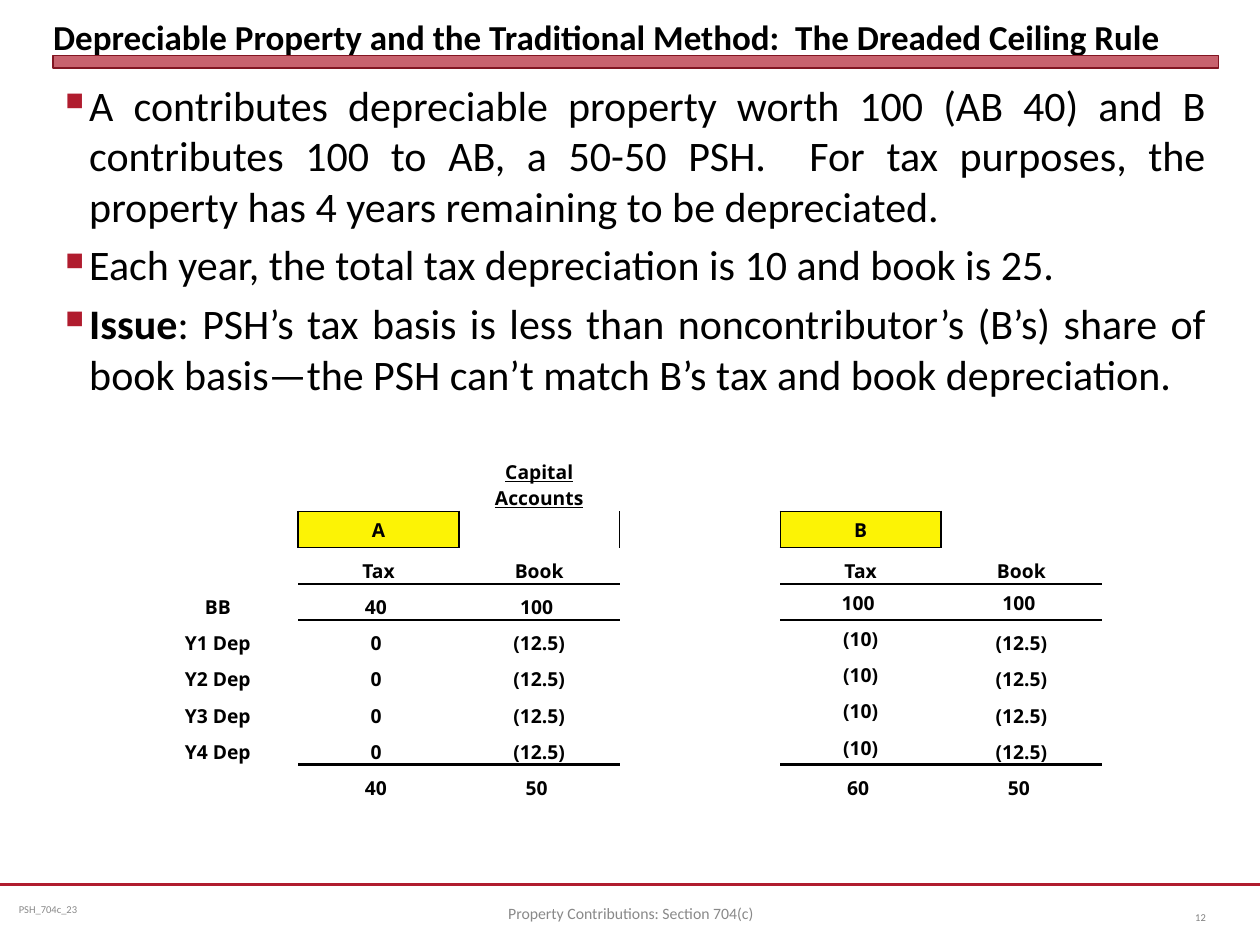
from lxml import etree
from pptx import Presentation
from pptx.dml.color import RGBColor
from pptx.enum.shapes import MSO_CONNECTOR, MSO_SHAPE
from pptx.enum.text import MSO_ANCHOR, MSO_AUTO_SIZE, PP_ALIGN
from pptx.oxml.ns import qn
from pptx.util import Cm, Pt

LEFT, CENTER, RIGHT, JUSTIFY = PP_ALIGN.LEFT, PP_ALIGN.CENTER, PP_ALIGN.RIGHT, PP_ALIGN.JUSTIFY
TOP, MIDDLE, BOTTOM = MSO_ANCHOR.TOP, MSO_ANCHOR.MIDDLE, MSO_ANCHOR.BOTTOM
RECTANGLE, STRAIGHT = MSO_SHAPE.RECTANGLE, MSO_CONNECTOR.STRAIGHT
NO_FIT = MSO_AUTO_SIZE.NONE
NO_GRID_STYLE = "{2D5ABB26-0587-4C30-8999-92F81FD0307C}"
TITLE_ONLY = 5

BLACK, RED, DARK_RED, YELLOW = "000000", "B01C2E", "821522", "FCF305"
GRAY, FOOTER_GRAY = "808080", "898989"
BODY_FONT, TABLE_FONT = "Calibri", "Open Sans"
DEFAULT_INSETS = (0.25, 0.13, 0.25, 0.13)
FOOTER_INSETS = (0.18, 0.1, 0.18, 0.1)

TITLE = "Depreciable Property and the Traditional Method:  The Dreaded Ceiling Rule"
BULLETS = [
    [("A contributes depreciable property worth 100 (AB 40) and B contributes 100 to AB, "
      "a 50-50 PSH.  For tax purposes, the property has 4 years remaining to be depreciated.", False)],
    [("Each year, the total tax depreciation is 10 and book is 25.", False)],
    [("Issue", True),
     (": PSH’s tax basis is less than noncontributor’s (B’s) share of book basis—"
      "the PSH can’t match B’s tax and book depreciation.", False)],
]
DEPRECIATION = ["0 ", "(12.5)", "", "(10)", "(12.5)"]
ACCOUNTS = [
    ["", "", "Capital Accounts", "", "", ""],
    ["", "A", "", "", "B", ""],
    ["", "Tax", "Book", "", "Tax", "Book"],
    ["BB", "40 ", "100 ", "", "100 ", "100 "],
    *[[f"Y{year} Dep", *DEPRECIATION] for year in range(1, 5)],
    ["", "40 ", "50 ", "", "60 ", "50 "],
]
HEADING_ROW, PARTNER_ROW, OPENING_ROW = 0, 1, 3
PARTNER_COLUMNS, AMOUNT_COLUMNS = (1, 4), (1, 2, 4, 5)
RULE_WIDTHS = {3: 1, 8: 2}


def color(value):
    """Return the colour of a hex string."""
    return RGBColor.from_string(value)


def horizontal_edge(boundary, column):
    """Return the width of the rule above a row boundary, or None."""
    if boundary in (PARTNER_ROW, PARTNER_ROW + 1):
        return 1 if column in PARTNER_COLUMNS else None
    return RULE_WIDTHS.get(boundary) if column in AMOUNT_COLUMNS else None


def vertical_edge(row, boundary):
    """Return the width of the rule at a column boundary, or None."""
    return 1 if row == PARTNER_ROW and boundary in AMOUNT_COLUMNS else None


def account_anchor(row, column):
    """Return the vertical anchor of an account cell."""
    tax_amount = row >= OPENING_ROW and column == 4 and row < len(ACCOUNTS) - 1
    return MIDDLE if row == PARTNER_ROW or tax_amount or (row, column) == (OPENING_ROW, 5) else BOTTOM


class SlideWriter:
    """Hold the style and the current slide, and add its elements."""

    def __init__(self, slide):
        self.slide = slide
        self.shapes = slide.shapes

    def run(self, paragraph, text, size, bold=False, font=BODY_FONT, ink=BLACK, underline=False):
        """Add one formatted run."""
        run = paragraph.add_run()
        run.text = text
        run.font.name, run.font.size = font, Pt(size)
        run.font.bold, run.font.underline = bold, underline
        run.font.color.rgb = color(ink)

    def frame(self, shape, anchor, insets):
        """Set up the text frame of a shape."""
        frame = shape.text_frame
        frame.word_wrap, frame.auto_size = True, NO_FIT
        frame.vertical_anchor = anchor
        (frame.margin_left, frame.margin_top,
         frame.margin_right, frame.margin_bottom) = map(Cm, insets)
        return frame

    def title(self, text, box, size):
        """Place and fill the title placeholder."""
        shape = self.shapes.title
        shape.left, shape.top, shape.width, shape.height = map(Cm, box)
        paragraph = self.frame(shape, BOTTOM, (0, 0, 0, 0)).paragraphs[0]
        paragraph.alignment = LEFT
        self.run(paragraph, text, size, bold=True)

    def text(self, text, box, size, ink, alignment, insets=DEFAULT_INSETS):
        """Add a single line of text."""
        shape = self.shapes.add_textbox(*map(Cm, box))
        paragraph = self.frame(shape, MIDDLE, insets).paragraphs[0]
        paragraph.alignment = alignment
        self.run(paragraph, text, size, ink=ink)

    def bullets(self, items, box, size):
        """Add a justified list with square bullets."""
        frame = self.frame(self.shapes.add_textbox(*map(Cm, box)), TOP, DEFAULT_INSETS)
        for index, item in enumerate(items):
            paragraph = frame.add_paragraph() if index else frame.paragraphs[0]
            paragraph.alignment = JUSTIFY
            paragraph.space_before = Pt(size * 0.2)
            properties = paragraph._p.get_or_add_pPr()
            properties.set("marL", str(Cm(0.48)))
            properties.set("indent", str(-Cm(0.48)))
            bullet_color = etree.SubElement(properties, qn("a:buClr"))
            etree.SubElement(bullet_color, qn("a:srgbClr"), val=RED)
            etree.SubElement(properties, qn("a:buSzPct"), val="60000")
            etree.SubElement(properties, qn("a:buChar"), char="■")
            for text, bold in item:
                self.run(paragraph, text, size, bold)

    def bar(self, box, fill, line, opacity):
        """Add a translucent rectangle."""
        shape = self.shapes.add_shape(RECTANGLE, *map(Cm, box))
        shape.shadow.inherit = False
        shape.fill.solid()
        shape.fill.fore_color.rgb = color(fill)
        fill_color = shape._element.spPr.find(qn("a:solidFill"))[0]
        etree.SubElement(fill_color, qn("a:alpha"), val=str(opacity * 1000))
        shape.line.color.rgb = color(line)
        shape.line.width = Pt(0)

    def line(self, start, end, ink, width):
        """Add a straight line."""
        connector = self.shapes.add_connector(STRAIGHT, *map(Cm, start + end))
        connector.line.color.rgb = color(ink)
        connector.line.width = Pt(width)
        etree.SubElement(connector._element.spPr, qn("a:effectLst"))

    def borders(self, cell, widths):
        """Draw the given cell borders, listed left, right, top, bottom."""
        edges = [(side, width) for side, width in zip("LRTB", widths) if width]
        for position, (side, width) in enumerate(edges):
            edge = etree.Element(qn(f"a:ln{side}"), w=str(Pt(width)))
            fill = etree.SubElement(edge, qn("a:solidFill"))
            etree.SubElement(fill, qn("a:srgbClr"), val=BLACK)
            cell._tc.get_or_add_tcPr().insert(position, edge)

    def accounts(self, rows, left, top, column_width, heading_height, row_height, size):
        """Add the table of capital accounts."""
        columns = len(rows[0])
        height = heading_height + row_height * (len(rows) - 1)
        graphic = self.shapes.add_table(len(rows), columns, Cm(left), Cm(top),
                                        Cm(column_width * columns), Cm(height))
        table = graphic.table
        table.first_row = table.horz_banding = False
        table._tbl.tblPr.find(qn("a:tableStyleId")).text = NO_GRID_STYLE
        for column in table.columns:
            column.width = Cm(column_width)
        for row_index, values in enumerate(rows):
            table.rows[row_index].height = Cm(row_height if row_index else heading_height)
            for column_index, value in enumerate(values):
                self.account_cell(table.cell(row_index, column_index), value, row_index, column_index, size)

    def account_cell(self, cell, value, row, column, size):
        """Fill and frame one account cell."""
        cell.margin_left = cell.margin_right = cell.margin_top = Cm(0.03)
        cell.margin_bottom = 0
        cell.vertical_anchor = account_anchor(row, column)
        if row == PARTNER_ROW and value:
            cell.fill.solid()
            cell.fill.fore_color.rgb = color(YELLOW)
        else:
            cell.fill.background()
        paragraph = cell.text_frame.paragraphs[0]
        paragraph.alignment = CENTER
        if value:
            self.run(paragraph, value, size, True, TABLE_FONT, underline=row == HEADING_ROW)
        else:
            etree.SubElement(paragraph._p, qn("a:endParaRPr"), sz=str(size * 100))
        self.borders(cell, (vertical_edge(row, column), vertical_edge(row, column + 1),
                            horizontal_edge(row, column), horizontal_edge(row + 1, column)))


presentation = Presentation()
presentation.slide_width, presentation.slide_height = Cm(25.4), Cm(19.05)
writer = SlideWriter(presentation.slides.add_slide(presentation.slide_layouts[TITLE_ONLY]))
writer.line((0, 17.83), (25.4, 17.83), RED, 1.25)
writer.text("PSH_704c_23", (0.2, 17.83, 6.55, 1.02), 6, FOOTER_GRAY, LEFT, FOOTER_INSETS)
writer.bar((1.07, 1.12, 23.5, 0.25), RED, DARK_RED, 69)
writer.bullets(BULLETS, (1.07, 1.47, 23.5, 16.15), 24)
writer.title(TITLE, (1.07, 0.13, 23.5, 1.02), 20)
writer.text("12", (23.29, 17.98, 1.27, 1.02), 6, GRAY, RIGHT)
writer.text("Property Contributions: Section 704(c)", (8.69, 17.91, 8.05, 1.02), 9, FOOTER_GRAY, CENTER)
writer.accounts(ACCOUNTS, 2.77, 8.33, 3.24, 1.98, 0.73, 11)
presentation.save("out.pptx")
